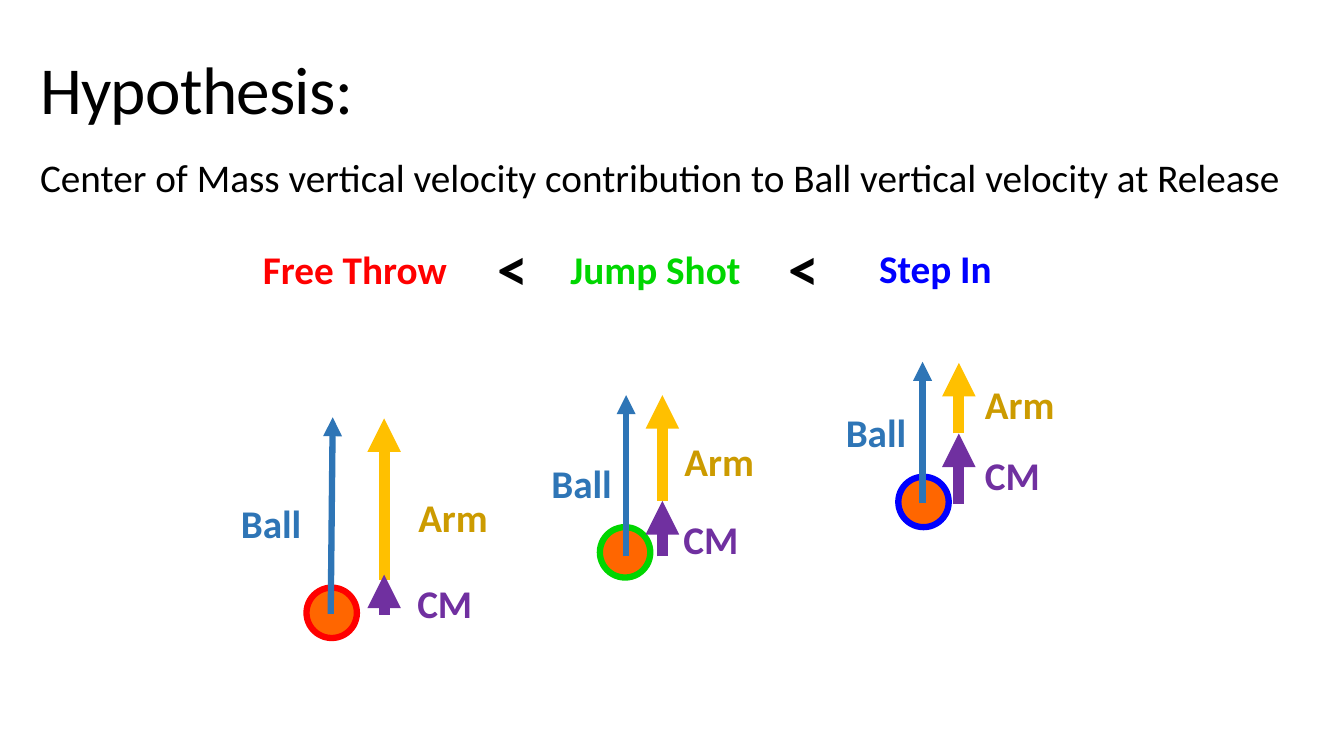
from pptx import Presentation
from pptx.dml.color import RGBColor
from pptx.enum.shapes import MSO_CONNECTOR as Connector, MSO_SHAPE as Shape
from pptx.oxml.ns import qn
from pptx.util import Emu, Pt
from lxml.etree import SubElement

EMU_PER_PX = 9144  # 100 px to the inch
COLORS = {
    "black": "000000",
    "free_throw": "FF0000",
    "jump_shot": "00D600",
    "step_in": "0000FF",
    "basketball": "FF6600",
    "ball": "2E75B6",
    "arm": "FFC000",
    "arm_label": "CC9B00",
    "cm": "7030A0",
}
BALL_SIZE = 50
LABEL_HEIGHT = 57

# Arrows run from (x, y) to (x, y); labels are placed by their left top corner
SHOTS = [
    {
        "name": "Free Throw", "color": "free_throw", "heading": (251, 238, 205),
        "basketball": (304, 583),
        "ball": (328, 609, 330, 414), "arm": (381, 575, 381, 415), "cm": (381, 610, 381, 570),
        "labels": {"Ball": (229, 490), "Arm": (405, 484), "CM": (404, 570)},
    },
    {
        "name": "Jump Shot", "color": "jump_shot", "heading": (556, 238, 281),
        "basketball": (595, 523),
        "ball": (621, 552, 621, 392), "arm": (657, 497, 657, 392), "cm": (657, 552, 657, 497),
        "labels": {"Ball": (537, 451), "Arm": (669, 429), "CM": (668, 506)},
    },
    {
        "name": "Step In", "color": "step_in", "heading": (862, 237, 133),
        "basketball": (891, 473),
        "ball": (915, 499, 915, 359), "arm": (951, 430, 951, 360), "cm": (951, 500, 951, 430),
        "labels": {"Ball": (829, 400), "Arm": (967, 372), "CM": (967, 443)},
    },
]
ARROW_WIDTHS = {"ball": 4.5, "arm": 8, "cm": 8}
LABEL_STYLES = {"Ball": (88, "ball"), "Arm": (102, "arm_label"), "CM": (75, "cm")}


def px(length):
    return Emu(length * EMU_PER_PX)


def rgb(name):
    return RGBColor.from_string(COLORS[name])


def add_label(slide, text, left, top, width, height=LABEL_HEIGHT, color="black",
              size=28, bold=True):
    frame = slide.shapes.add_textbox(px(left), px(top), px(width), px(height)).text_frame
    frame.word_wrap = True
    frame.text = text
    paragraph = frame.paragraphs[0]
    font = paragraph.runs[0].font
    font.name = "Calibri"
    font.size = Pt(size)
    font.bold = bold
    font.color.rgb = rgb(color)
    return paragraph


def add_basketball(slide, left, top, rim):
    basketball = slide.shapes.add_shape(
        Shape.OVAL, px(left), px(top), px(BALL_SIZE), px(BALL_SIZE))
    basketball.shadow.inherit = False
    basketball.fill.solid()
    basketball.fill.fore_color.rgb = rgb("basketball")
    basketball.line.color.rgb = rgb(rim)
    basketball.line.width = Pt(4.5)


def add_arrow(slide, ends, color, width):
    arrow = slide.shapes.add_connector(Connector.STRAIGHT, *map(px, ends))
    arrow.line.color.rgb = rgb(color)
    arrow.line.width = Pt(width)
    SubElement(arrow.line._get_or_add_ln(), qn("a:tailEnd"), type="triangle")
    SubElement(arrow._element.spPr, qn("a:effectLst"))


def add_shot(slide, shot):
    left, top, width = shot["heading"]
    add_label(slide, shot["name"], left, top, width, color=shot["color"])
    add_basketball(slide, *shot["basketball"], shot["color"])
    for part, width in ARROW_WIDTHS.items():
        add_arrow(slide, shot[part], part, width)
    for text, (left, top) in shot["labels"].items():
        width, color = LABEL_STYLES[text]
        add_label(slide, text, left, top, width, color=color)


def main():
    deck = Presentation()
    deck.slide_width, deck.slide_height = px(1333), px(750)
    slide = deck.slides.add_slide(deck.slide_layouts[6])

    # Title and statement
    title = add_label(slide, "Hypothesis:", 30, 54, 1100, 159, size=48, bold=False)
    title.line_spacing = 0.85
    title.runs[0].font._element.set("spc", "-50")
    add_label(slide, "Center of Mass vertical velocity contribution to "
              "Ball vertical velocity at Release", 30, 147, 1303, bold=False)

    # Shots from the smallest to the largest contribution
    for shot in SHOTS:
        add_shot(slide, shot)
    for left in (484, 772):
        add_label(slide, "<", left, 223, 51, 84, size=44)

    deck.save("out.pptx")


if __name__ == "__main__":
    main()
